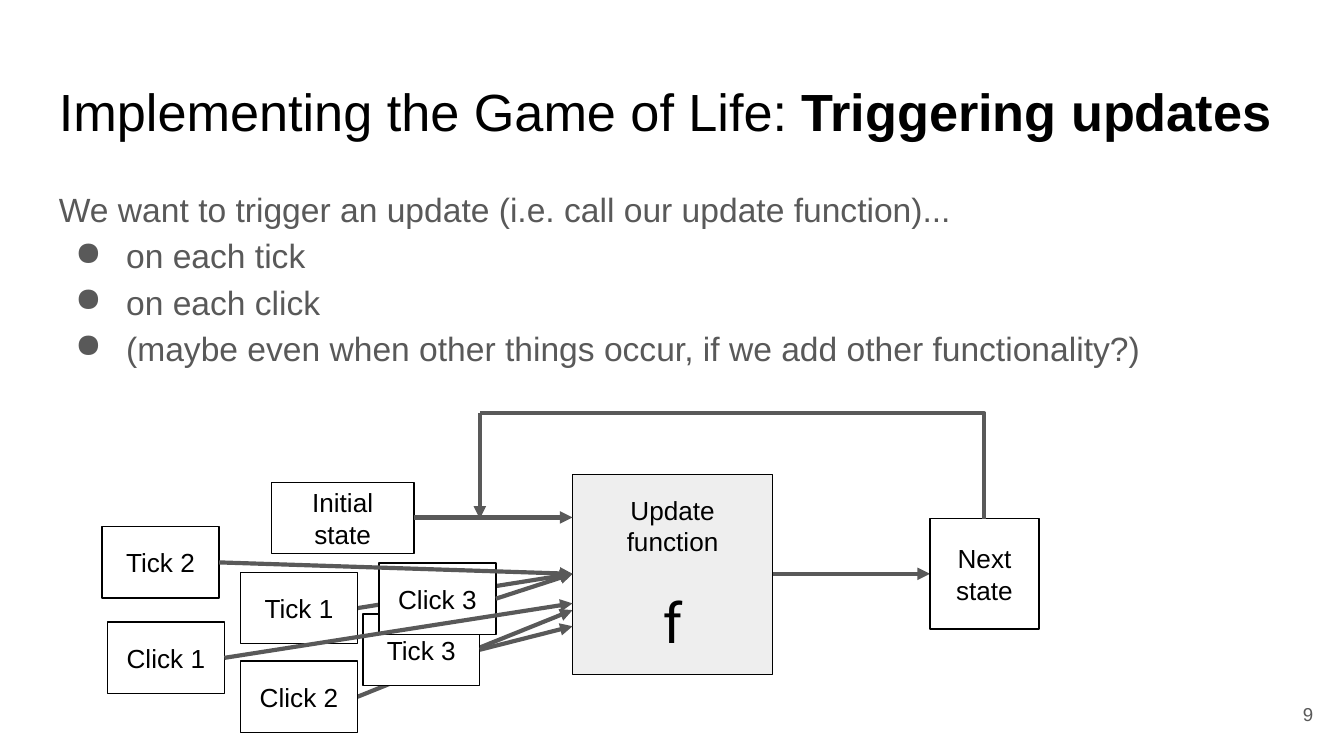
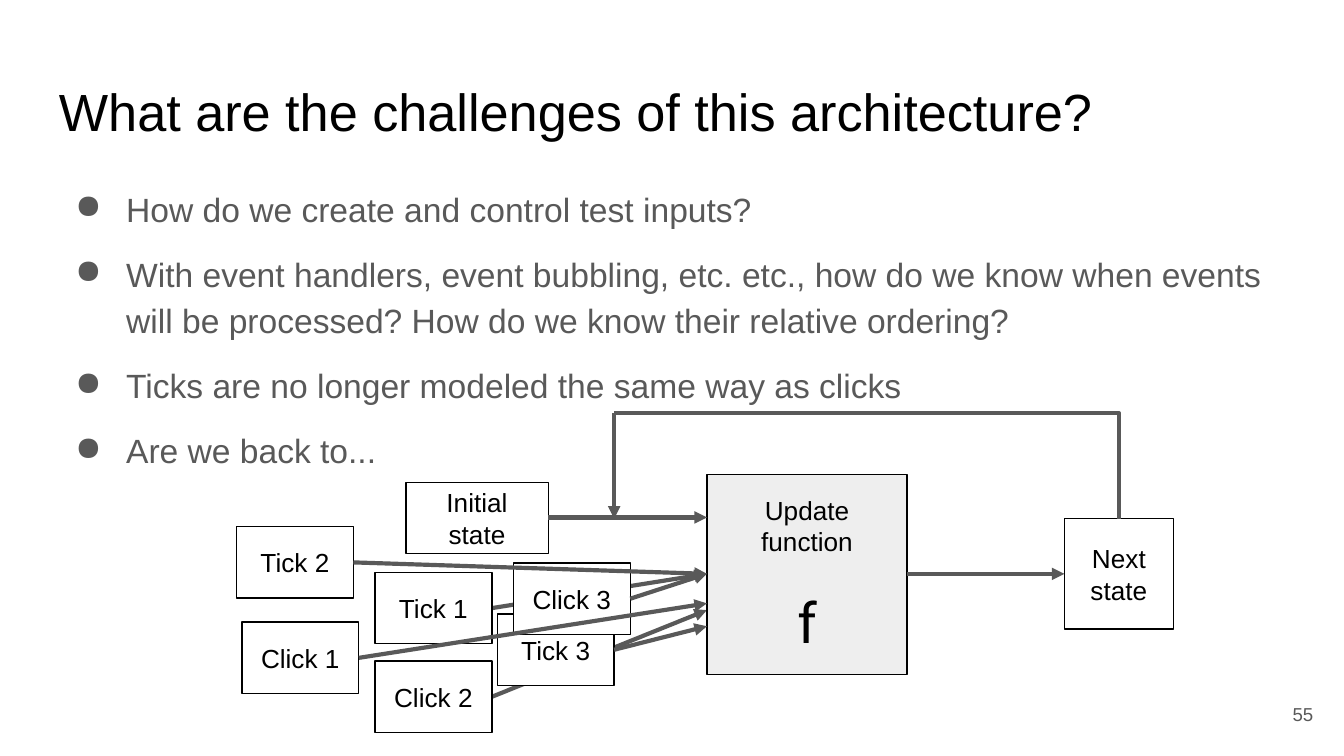
import lxml.etree
import pptx
import pptx.dml.color
import pptx.enum.shapes
import pptx.enum.text
import pptx.oxml.ns
import pptx.util

qn = pptx.oxml.ns.qn
ALIGN = pptx.enum.text.PP_ALIGN
ANCHOR = pptx.enum.text.MSO_ANCHOR
CONNECTOR = pptx.enum.shapes.MSO_CONNECTOR

SLIDE_WIDTH = pptx.util.Inches(10)
SLIDE_HEIGHT = pptx.util.Inches(5.625)
COLUMNS = 100
CELL = SLIDE_WIDTH / COLUMNS

INK = "000000"
GREY = "595959"
PALE = "EEEEEE"
WHITE = "FFFFFF"
BODY_FONT = "Arial"
SYMBOL_FONT = "Roboto"

EVENT_SIZE = (8.7, 5.3)
EVENT_CORNERS = {
    "Tick 1": (17.9, 42.6),
    "Tick 2": (7.6, 39.2),
    "Click 1": (8, 46.3),
    "Click 2": (17.9, 49.2),
    "Tick 3": (27, 45.7),
    "Click 3": (28.2, 41.9),
}
UPDATE = (42.6, 35.3, 14.9, 14.9)
INITIAL = (20.2, 35.9, 10.6, 5.3)
NEXT = (69.2, 38.6, 8.1, 8.2)
MIDDLE_PORT = 42.7
ARROWS_BEHIND = {"Click 2": 45.4, "Tick 1": MIDDLE_PORT}
ARROWS_IN_FRONT = {"Click 3": MIDDLE_PORT, "Tick 3": 46.6, "Tick 2": MIDDLE_PORT, "Click 1": 44.9}
LOOP_LEFT, LOOP_TOP = 35.7, 30.75
STATE_ROW = 38.5


def grid(*cells):
    return [round(cell * CELL) for cell in cells]


def color(value):
    return pptx.dml.color.RGBColor.from_string(value)


def style_font(font, size, ink, name=BODY_FONT, bold=False):
    font.size = pptx.util.Pt(size)
    font.name = name
    font.bold = bold
    font.color.rgb = color(ink)


def set_frame(frame, anchor):
    frame.word_wrap = True
    frame.vertical_anchor = anchor
    frame.margin_left = frame.margin_right = pptx.util.Inches(0.1)
    frame.margin_top = frame.margin_bottom = pptx.util.Inches(0.1)


def add_text(slide, area, anchor=ANCHOR.TOP):
    frame = slide.shapes.add_textbox(*grid(*area)).text_frame
    set_frame(frame, anchor)
    return frame


def add_title(slide, plain, strong=""):
    heading = add_text(slide, (3.4, 4.9, 93.2, 6.3)).paragraphs[0]
    heading.text = plain
    style_font(heading.runs[0].font, 28, INK)
    if strong:
        emphasis = heading.add_run()
        emphasis.text = strong
        style_font(emphasis.font, 28, INK, bold=True)


def add_bullet(paragraph):
    properties = paragraph._p.get_or_add_pPr()
    properties.set("marL", str(pptx.util.Inches(0.5)))
    properties.set("indent", str(pptx.util.Inches(-0.38)))
    bullet_color = lxml.etree.SubElement(properties, qn("a:buClr"))
    lxml.etree.SubElement(bullet_color, qn("a:srgbClr"), val=GREY)
    lxml.etree.SubElement(properties, qn("a:buChar"), char="●")


def add_body(slide, bullets, intro=None, gap=0):
    frame = add_text(slide, (3.4, 12.6, 93.2, 37.4))
    lines = ([intro] if intro else []) + bullets
    frame.text = "\n".join(lines)
    for index, paragraph in enumerate(frame.paragraphs):
        paragraph.line_spacing = 1.15
        if index and gap:
            paragraph.space_before = pptx.util.Pt(gap)
        if index or not intro:
            add_bullet(paragraph)
        style_font(paragraph.runs[0].font, 18, GREY)


def add_page_number(slide, number):
    paragraph = add_text(slide, (92.7, 51, 6, 4.3), ANCHOR.MIDDLE).paragraphs[0]
    paragraph.text = str(number)
    paragraph.alignment = ALIGN.RIGHT
    style_font(paragraph.runs[0].font, 10, GREY)


def add_box(slide, area, label, fill=None):
    box = slide.shapes.add_shape(pptx.enum.shapes.MSO_SHAPE.RECTANGLE, *grid(*area))
    box.shadow.inherit = False
    if fill:
        box.fill.solid()
        box.fill.fore_color.rgb = color(fill)
    else:
        box.fill.background()
    box.line.color.rgb = color(INK)
    box.line.width = pptx.util.Pt(0.75)
    frame = box.text_frame
    set_frame(frame, ANCHOR.MIDDLE)
    paragraph = frame.paragraphs[0]
    paragraph.text = label
    paragraph.alignment = ALIGN.CENTER
    for run in paragraph.runs:
        style_font(run.font, 14, INK)
    return frame


def add_update_box(slide, area):
    frame = add_box(slide, area, "Update function\v", PALE)
    label = frame.paragraphs[0]._p
    for line_break in label.findall(qn("a:br")):
        lxml.etree.SubElement(line_break, qn("a:rPr"), sz="1400")
    lxml.etree.SubElement(label, qn("a:endParaRPr"), sz="1400")
    symbol = frame.add_paragraph()
    symbol.text = "f"
    symbol.alignment = ALIGN.CENTER
    style_font(symbol.runs[0].font, 30, INK, SYMBOL_FONT)


def add_line(slide, start, end, arrow=True, kind=CONNECTOR.STRAIGHT):
    link = slide.shapes.add_connector(kind, *grid(*start, *end))
    link.line.color.rgb = color(GREY)
    link.line.width = pptx.util.Pt(2.25)
    if arrow:
        lxml.etree.SubElement(link.line._get_or_add_ln(), qn("a:tailEnd"), type="triangle")
    lxml.etree.SubElement(link._element.spPr, qn("a:effectLst"))
    return link


def add_corner(slide, start, end):
    link = add_line(slide, start, end, arrow=False, kind=CONNECTOR.ELBOW)
    properties = link._element.spPr
    properties.find(qn("a:prstGeom")).set("prst", "bentConnector2")
    frame = properties.find(qn("a:xfrm"))
    frame.set("rot", str(90 * 60000))
    frame.set("flipH", "1")
    frame.attrib.pop("flipV", None)
    across, down = start[0] - end[0], start[1] - end[1]
    middle_x, middle_y = (start[0] + end[0]) / 2, (start[1] + end[1]) / 2
    link.left, link.top, link.width, link.height = grid(
        middle_x - down / 2, middle_y - across / 2, down, across)


def add_diagram(slide, shift=0):
    def moved(area):
        return (area[0] + shift, *area[1:])

    update, initial, following = moved(UPDATE), moved(INITIAL), moved(NEXT)
    events = {name: (*moved(corner), *EVENT_SIZE) for name, corner in EVENT_CORNERS.items()}
    loop_left = LOOP_LEFT + shift
    next_middle = following[0] + following[2] / 2

    def add_event_arrows(ports):
        for name, port in ports.items():
            left, top, width, height = events[name]
            add_line(slide, (left + width, top + height / 2), (update[0], port))

    add_event_arrows(ARROWS_BEHIND)
    add_update_box(slide, update)
    add_line(slide, (update[0] + update[2], MIDDLE_PORT), (following[0], MIDDLE_PORT))
    add_box(slide, initial, "Initial state")
    add_box(slide, following, "Next state")
    add_corner(slide, (next_middle, following[1]), (loop_left, LOOP_TOP))
    add_line(slide, (loop_left, LOOP_TOP), (loop_left, following[1]))
    add_line(slide, (initial[0] + initial[2], STATE_ROW), (update[0], STATE_ROW))
    for name, area in events.items():
        add_box(slide, area, name, WHITE)
    add_event_arrows(ARROWS_IN_FRONT)


def add_slide(deck):
    slide = deck.slides.add_slide(deck.slide_layouts[6])
    slide.background.fill.solid()
    slide.background.fill.fore_color.rgb = color(WHITE)
    return slide


def main():
    deck = pptx.Presentation()
    deck.slide_width, deck.slide_height = SLIDE_WIDTH, SLIDE_HEIGHT

    triggers = add_slide(deck)
    add_title(triggers, "Implementing the Game of Life: ", "Triggering updates")
    add_body(
        triggers,
        [
            "on each tick",
            "on each click",
            "(maybe even when other things occur, if we add other functionality?)",
        ],
        intro="We want to trigger an update (i.e. call our update function)...",
    )
    add_page_number(triggers, 9)
    add_diagram(triggers)

    challenges = add_slide(deck)
    add_title(challenges, "What are the challenges of this architecture?")
    add_body(
        challenges,
        [
            "How do we create and control test inputs?",
            "With event handlers, event bubbling, etc. etc., how do we know when events "
            "will be processed? How do we know their relative ordering?",
            "Ticks are no longer modeled the same way as clicks",
            "Are we back to...",
        ],
        gap=10,
    )
    add_page_number(challenges, 55)
    add_diagram(challenges, shift=10)

    deck.save("out.pptx")


if __name__ == "__main__":
    main()
